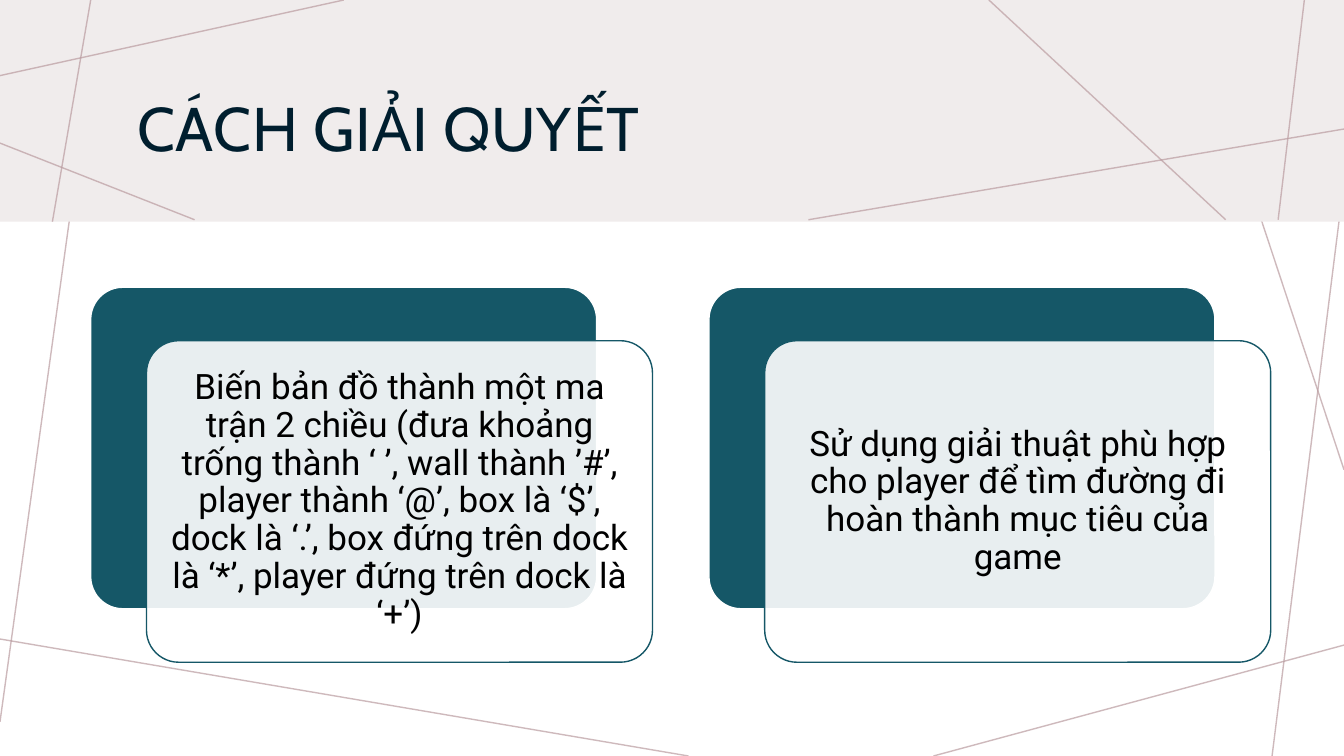
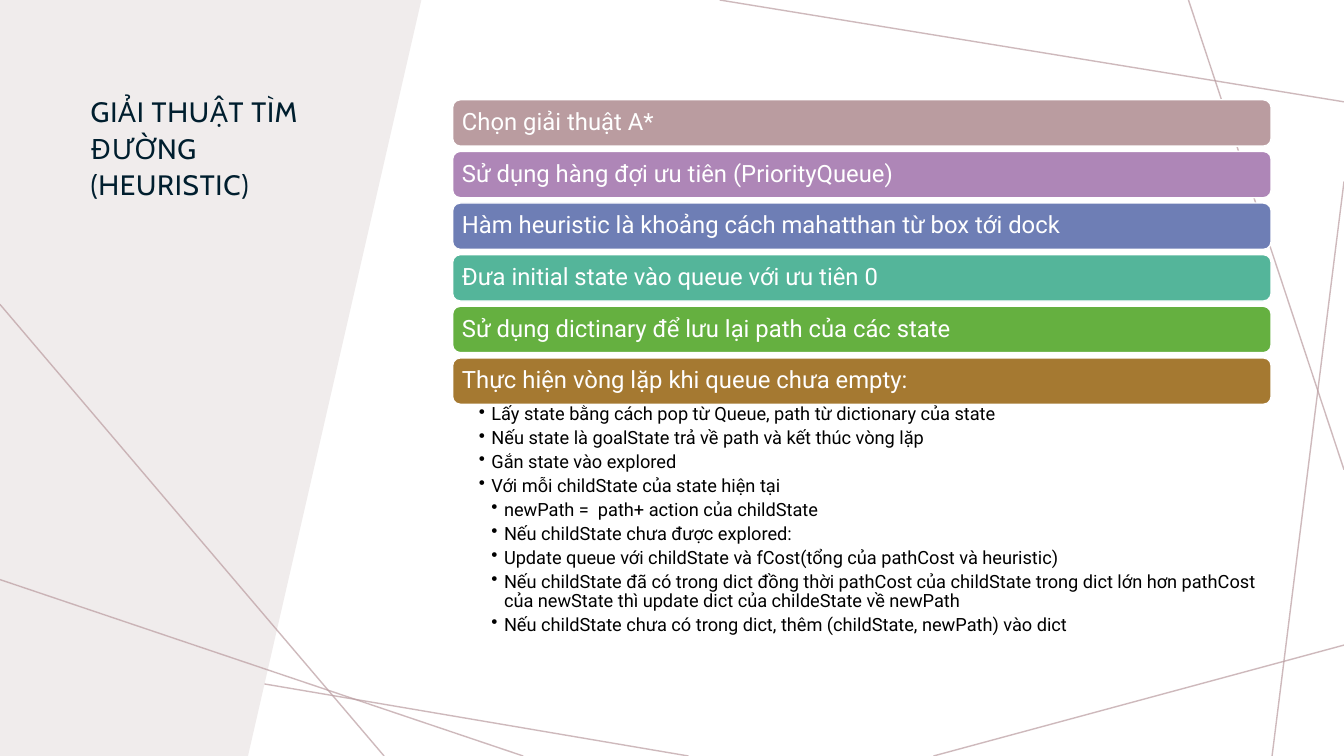
from dataclasses import dataclass

from lxml.etree import SubElement
from pptx import Presentation
from pptx.dml.color import RGBColor
from pptx.enum.shapes import MSO_CONNECTOR, MSO_SHAPE
from pptx.enum.text import MSO_ANCHOR as Anchor, PP_ALIGN as Align
from pptx.oxml.ns import qn
from pptx.util import Emu, Inches, Pt

# Shared style
INK, PANEL, ROSE, TEAL = "001E2E", "F0ECEC", "BA9CA0", "155767"
WHITE, BLACK = "FFFFFF", "000000"
HEADING_FONT, BODY_FONT = "Cabin", "Roboto"
TITLE_INSETS = (0.12, 0.12, 0.12, 0.1)
WIDTH, HEIGHT = Inches(13.33), Inches(7.5)


# All places and sizes are percentages of the slide's width and height.
@dataclass(frozen=True)
class Area:
    left: float
    top: float
    width: float
    height: float

    def shifted(self, right: float, down: float) -> "Area":
        return Area(self.left + right, self.top + down, self.width, self.height)

    def emu(self) -> tuple:
        return across(self.left), down(self.top), across(self.width), down(self.height)


@dataclass(frozen=True)
class Strand:
    x1: float
    y1: float
    x2: float
    y2: float


@dataclass(frozen=True)
class TextStyle:
    size: float
    color: str
    font: str = BODY_FONT
    spacing: float = 0.9
    tracking: float = 0


@dataclass(frozen=True)
class Step:
    text: str
    color: str


@dataclass(frozen=True)
class Bullet:
    text: str
    level: int = 1


BACKDROP = [
    Strand(25.58, 0, 0, 10), Strand(7.43, 0, 0, 95.47),
    Strand(51.23, 100, 0, 84.53), Strand(100, 85.33, 69.45, 100),
    Strand(100, 24, 94.65, 100), Strand(100, 62.13, 88.43, 0),
    Strand(100, 13.47, 53.55, 0),
]
BAND_STRANDS = [
    Strand(25.58, 0, 0, 10), Strand(6.75, 0, 3.9, 29.33),
    Strand(14.48, 29.07, 0, 18.93), Strand(100, 17.07, 60.15, 29.07),
    Strand(91.2, 29.07, 73.58, 0), Strand(97.05, 0, 95.1, 29.07),
]
PANEL_STRANDS = [Strand(0, 40.27, 28.58, 100), Strand(38.93, 100, 0, 76.67)]

CARD, CARD_PITCH, CARD_OFFSET = Area(6.75, 38, 37.65, 42.53), 46, (4.15, 7.07)
CARDS = [
    "Biến bản đồ thành một ma trận 2 chiều (đưa khoảng trống thành ‘ ’, "
    "wall thành ’#’, player thành ‘@’, box là ‘$’, dock là ‘.’, "
    "box đứng trên dock là ‘*’, player đứng trên dock là ‘+’)",
    "Sử dụng giải thuật phù hợp cho player để tìm đường đi "
    "hoàn thành mục tiêu của game",
]

BAR, BAR_PITCH = Area(33.68, 13.2, 60.9, 6.13), 6.83
STEPS = [
    Step("Chọn giải thuật A*", ROSE),
    Step("Sử dụng hàng đợi ưu tiên (PriorityQueue)", "AE86B7"),
    Step("Hàm heuristic là khoảng cách mahatthan từ box tới dock", "6E7EB5"),
    Step("Đưa initial state vào queue với ưu tiên 0", "54B59A"),
    Step("Sử dụng dictinary để lưu lại path của các state", "65B040"),
    Step("Thực hiện vòng lặp khi queue chưa empty:", "A57931"),
]
LOOP = [
    Bullet("Lấy state bằng cách pop từ Queue, path từ dictionary của state"),
    Bullet("Nếu state là goalState trả về path và kết thúc vòng lặp"),
    Bullet("Gắn state vào explored"),
    Bullet("Với mỗi childState của state hiện tại"),
    Bullet("newPath =  path+ action của childState", 2),
    Bullet("Nếu childState chưa được explored:", 2),
    Bullet("Update queue với childState và fCost(tổng của pathCost và heuristic)", 2),
    Bullet("Nếu childState đã có trong dict đồng thời pathCost của childState trong dict "
           "lớn hơn pathCost của newState thì update dict của childeState về newPath", 2),
    Bullet("Nếu childState chưa có trong dict, thêm (childState, newPath) vào dict", 2),
]


def across(percent: float) -> Emu:
    return Emu(round(WIDTH * percent / 100))


def down(percent: float) -> Emu:
    return Emu(round(HEIGHT * percent / 100))


def paint(fill, color: str, opacity: int = 100) -> None:
    fill.solid()
    fill.fore_color.rgb = RGBColor.from_string(color)
    if opacity < 100:
        tint = next(fill._xPr.iter(qn("a:srgbClr")))
        SubElement(tint, qn("a:alpha")).set("val", str(opacity * 1000))


def add_strands(page, strands: list) -> None:
    for strand in strands:
        line = page.shapes.add_connector(
            MSO_CONNECTOR.STRAIGHT, across(strand.x1), down(strand.y1),
            across(strand.x2), down(strand.y2))
        line.line.width = Pt(1)
        paint(line.line.fill, ROSE, 70)
        SubElement(line._element.spPr, qn("a:effectLst"))


def finish(shape, fill: str, outline: str = "", opacity: int = 100) -> None:
    shape.shadow.inherit = False
    paint(shape.fill, fill, opacity)
    if outline:
        paint(shape.line.fill, outline)
        shape.line.width = Pt(1)
    else:
        shape.line.fill.background()


def add_block(page, area: Area, fill: str, outline: str = "", opacity: int = 100,
              kind=MSO_SHAPE.ROUNDED_RECTANGLE):
    block = page.shapes.add_shape(kind, *area.emu())
    finish(block, fill, outline, opacity)
    return block


def set_frame(shape, insets: tuple, anchor) -> None:
    frame = shape.text_frame
    frame.word_wrap = True
    frame.vertical_anchor = anchor
    (frame.margin_left, frame.margin_top,
     frame.margin_right, frame.margin_bottom) = map(Inches, insets)


def write(para, text: str, style: TextStyle, align=Align.LEFT) -> None:
    para.text = text
    para.alignment = align
    para.line_spacing = style.spacing
    for span in para.runs:
        span.font.size = Pt(style.size)
        span.font.name = style.font
        span.font.color.rgb = RGBColor.from_string(style.color)
        if style.tracking:
            span.font._element.set("spc", str(round(style.tracking * 100)))


def add_title(page, area: Area, text: str, size: float, anchor) -> None:
    box = page.shapes.add_textbox(*area.emu())
    set_frame(box, TITLE_INSETS, anchor)
    write(box.text_frame.paragraphs[0], text,
          TextStyle(size, INK, HEADING_FONT, 1.1, 0.5))


def add_card(page, area: Area, text: str) -> None:
    add_block(page, area, TEAL, WHITE).adjustments[0] = 0.1
    front = add_block(page, area.shifted(*CARD_OFFSET), WHITE, TEAL, 90)
    front.adjustments[0] = 0.1
    set_frame(front, (0.1,) * 4, Anchor.MIDDLE)
    write(front.text_frame.paragraphs[0], text, TextStyle(25, BLACK), Align.CENTER)


def add_bar(page, area: Area, step: Step) -> None:
    bar = add_block(page, area, step.color, WHITE)
    set_frame(bar, (0.07,) * 4, Anchor.MIDDLE)
    write(bar.text_frame.paragraphs[0], step.text, TextStyle(17, WHITE))


def add_bullets(page, area: Area, bullets: list) -> None:
    box = page.shapes.add_textbox(*area.emu())
    set_frame(box, (0.26, 0.02, 0.13, 0.02), Anchor.TOP)
    frame = box.text_frame
    for index, bullet in enumerate(bullets):
        para = frame.add_paragraph() if index else frame.paragraphs[0]
        write(para, bullet.text, TextStyle(13, BLACK))
        para.level = bullet.level
        para.space_after = Pt(3)
        indent = Inches(0.125)
        settings = para._p.get_or_add_pPr()
        settings.set("marL", str(indent * bullet.level))
        settings.set("indent", str(-indent))
        SubElement(settings, qn("a:buChar")).set("char", "•")


def new_page(deck):
    page = deck.slides.add_slide(deck.slide_layouts[6])
    paint(page.background.fill, WHITE)
    add_strands(page, BACKDROP)
    return page


def build_approach(deck) -> None:
    page = new_page(deck)
    # Title band
    add_block(page, Area(0, 0, 100, 29.33), PANEL, kind=MSO_SHAPE.RECTANGLE)
    add_strands(page, BAND_STRANDS)
    add_title(page, Area(9.3, 7.2, 82.58, 17.87), "CÁCH GIẢI QUYẾT", 44, Anchor.MIDDLE)
    # Layered cards
    for column, text in enumerate(CARDS):
        add_card(page, CARD.shifted(column * CARD_PITCH, 0), text)


def build_algorithm(deck) -> None:
    page = new_page(deck)
    # Slanted side panel
    outline = page.shapes.build_freeform(0, 0)
    outline.add_line_segments(
        [(across(31.35), 0), (across(18.45), HEIGHT), (0, HEIGHT)], close=True)
    finish(outline.convert_to_shape(), PANEL)
    add_title(page, Area(5.85, 10.4, 20.25, 27.07),
              "GIẢI THUẬT TÌM ĐƯỜNG (HEURISTIC)", 20, Anchor.TOP)
    add_strands(page, PANEL_STRANDS)
    # Steps and the details of the loop
    for row, step in enumerate(STEPS):
        add_bar(page, BAR.shifted(0, row * BAR_PITCH), step)
    add_bullets(page, Area(BAR.left, 53.33, BAR.width, 32.8), LOOP)


def main() -> None:
    deck = Presentation()
    deck.slide_width, deck.slide_height = WIDTH, HEIGHT
    build_approach(deck)
    build_algorithm(deck)
    deck.save("out.pptx")


if __name__ == "__main__":
    main()
